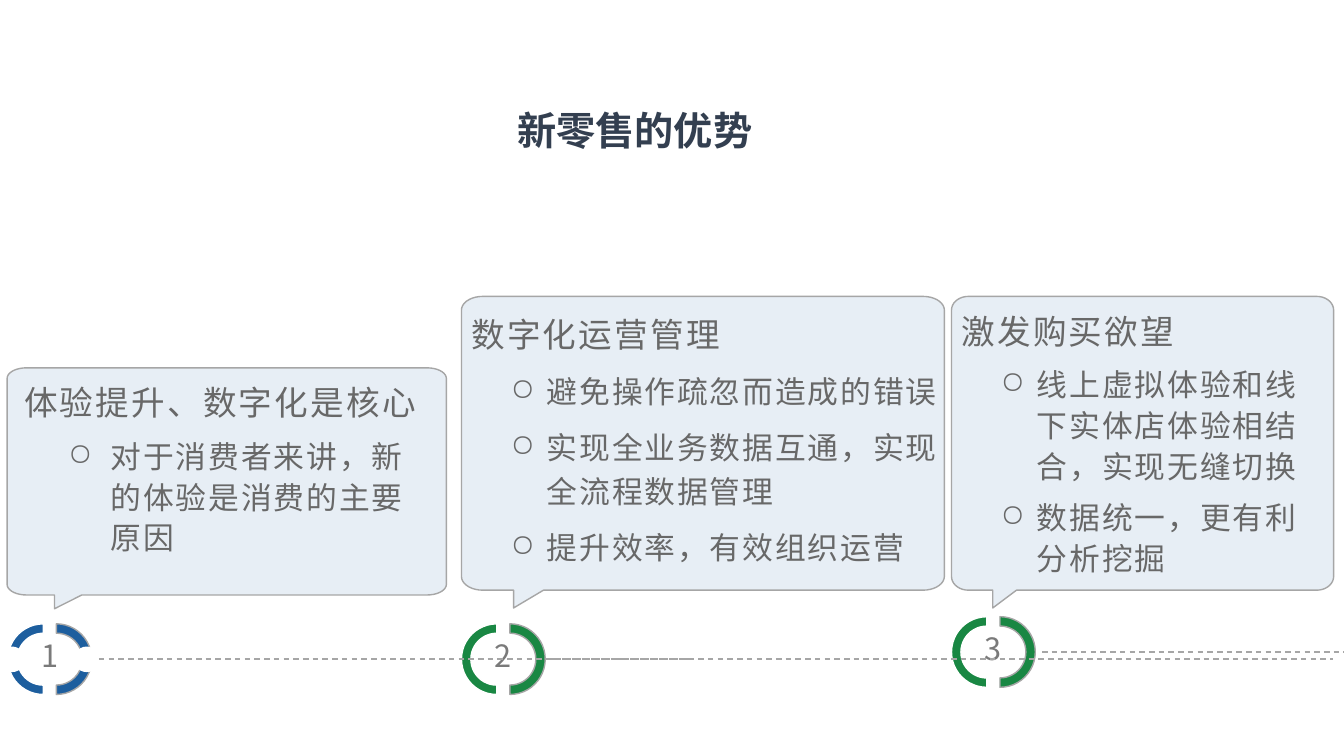
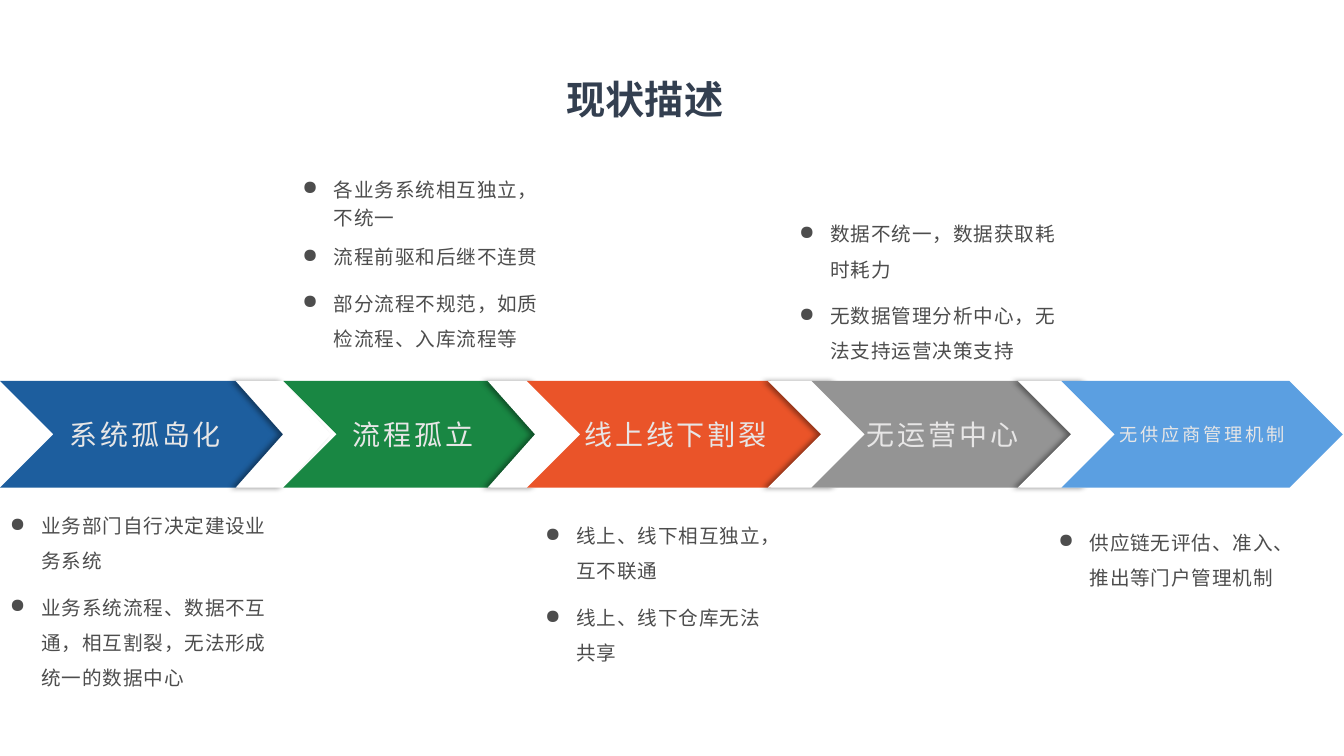
"""Build two slides: the advantages of new retail and its present problems."""
from math import cos, pi, sin

from lxml import etree
from pptx import Presentation, util as u
from pptx.dml.color import RGBColor
from pptx.enum import dml, shapes, text
from pptx.oxml.ns import qn

HUES = {
    "title": "333F50", "head": "686868", "num": "7A7A7A", "note": "4D4D4D",
    "pale": "E7E6E6", "edge": "A6A6A6", "white": "FFFFFF", "black": "000000",
    "blue": "1D5E9E", "green": "198743", "red": "EA5429", "gray": "949494",
    "sky": "5B9FE1",
}
FONT = "Noto Sans CJK SC"
ANCHOR, ALIGN, MSO = text.MSO_ANCHOR, text.PP_ALIGN, shapes.MSO_SHAPE


def write(frame, lines, size, hue, bold=False, align=ALIGN.LEFT, anchor=ANCHOR.TOP,
          lead=1.0, after=0, track=0, bullet="", indent=(0, 0), pad=(0.25, 0.13)):
    frame.word_wrap = True
    frame.vertical_anchor = anchor
    frame.margin_left = frame.margin_right = u.Cm(pad[0])
    frame.margin_top = frame.margin_bottom = u.Cm(pad[1])
    for line in lines:
        par = frame.add_paragraph() if frame.text else frame.paragraphs[0]
        if bullet:
            par.level = 1
            prop = par._p.get_or_add_pPr()
            prop.set("marL", str(u.Cm(indent[0])))
            prop.set("indent", str(u.Cm(indent[1])))
            etree.SubElement(prop, qn("a:buChar"), char=bullet)
        par.alignment, par.line_spacing = align, lead
        par.space_before, par.space_after = u.Pt(0), u.Pt(after)
        run = par.add_run()
        run.text = line
        font = run.font
        font.size, font.bold, font.name = u.Pt(size), bold, FONT
        font.color.rgb = RGBColor.from_string(HUES[hue])
        prop = run._r.get_or_add_rPr()
        prop.set("spc", str(round(track * 100)))
        etree.SubElement(prop, qn("a:ea"), typeface=FONT)


def paint(shape, fill, edge=None):
    shape.shadow.inherit = False
    shape.fill.solid()
    shape.fill.fore_color.rgb = RGBColor.from_string(HUES[fill])
    if edge:
        shape.line.color.rgb = RGBColor.from_string(HUES[edge])
        shape.line.width = u.Pt(1)
    else:
        shape.line.fill.background()
    return shape


deck = Presentation()
deck.slide_width, deck.slide_height = u.Cm(33.87), u.Cm(19.05)
pages = []
for name, box in [("新零售的优势", (3.96, 2.46, 24.08, 1.6)),
                  ("现状描述", (7.16, 1.7, 18.19, 1.6))]:
    page = deck.slides.add_slide(deck.slide_layouts[6]).shapes
    write(page.add_textbox(*map(u.Cm, box)).text_frame, [name], 28, "title", bold=True,
          align=ALIGN.CENTER, anchor=ANCHOR.MIDDLE, pad=(0.15, 0.15))
    pages.append(page)
gains, woes = pages

STEPS = [
    ((0.18, 9.27, 11.07, 6.07), (0.36, 9.27, 10.64, 5), 1.1, (2.18, -1.07),
     "体验提升、数字化是核心", ["对于消费者来讲，新的体验是消费的主要原因"],
     (0.2, 15.72), "blue"),
    ((11.63, 7.47, 12.17, 7.85), (11.63, 7.32, 12.45, 7.32), 1.2, (1.9, -0.91),
     "数字化运营管理",
     ["避免操作疏忽而造成的错误", "实现全业务数据互通，实现全流程数据管理",
      "提升效率，有效组织运营"],
     (11.63, 15.72), "green"),
    ((23.98, 7.47, 9.63, 7.85), (23.98, 7.47, 9.7, 7.32), 1.1, (1.9, -0.91),
     "激发购买欲望",
     ["线上虚拟体验和线下实体店体验相结合，实现无缝切换", "数据统一，更有利分析挖掘"],
     (23.98, 15.54), "green"),
]
RING, CURVE, BASE = 1.78, 0.044, 0.943
CORNERS = [(1 - CURVE, CURVE, -90), (1 - CURVE, BASE - CURVE, 0),
           (CURVE, BASE - CURVE, 90), (CURVE, CURVE, 180)]
TAIL = [(0.17, BASE), (0.108, 1), (0.108, BASE)]

rim = []
for cx, cy, start in CORNERS:
    if start == 90:
        rim += TAIL
    for turn in range(0, 91, 10):
        ang = (start + turn) * pi / 180
        rim.append((cx + CURVE * cos(ang), cy + CURVE * sin(ang)))

for num, (body, area, lead, indent, head, items, spot, hue) in enumerate(STEPS, 1):
    left, top, wide, high = body
    dots = [(u.Cm(left + x * wide), u.Cm(top + y * high)) for x, y in rim]
    pen = gains.build_freeform(*dots[0])
    pen.add_line_segments(dots[1:], close=True)
    bubble = paint(pen.convert_to_shape(), "blue", "edge")
    tint = bubble._element.spPr.find(qn("a:solidFill"))[0]
    etree.SubElement(tint, qn("a:alpha"), val="10000")

    frame = gains.add_textbox(*map(u.Cm, area)).text_frame
    look = dict(hue="head", anchor=ANCHOR.MIDDLE, lead=lead, after=8)
    write(frame, [head], 24, track=1.6, **look)
    write(frame, items, 22, track=1.4, bullet="○", indent=indent, **look)

    x, y = spot
    for shift, angle, edge in [(0.33, 90, "edge"), (0, 270, "white")]:
        arc = gains.add_shape(MSO.BLOCK_ARC, *map(u.Cm, (x + shift, y, RING, RING)))
        for at, val in enumerate((108, 0, 0.133)):
            arc.adjustments[at] = val
        arc.rotation = angle
        paint(arc, hue, edge)
    write(gains.add_textbox(*map(u.Cm, (x + 0.65, y + 0.38, 0.81, 1.07))).text_frame,
          [str(num)], 21.9, "num", align=ALIGN.CENTER, lead=0.8, after=8, track=1,
          pad=(0, 0.13))

for x in (0, 1.88):
    paint(gains.add_shape(MSO.OVAL, *map(u.Cm, (x, 16.31, 0.61, 0.61))), "white", "white")

for x, end, y in [(2.49, 17.5, 16.61), (13.92, 33.6, 16.61), (26.26, 33.87, 16.43)]:
    rule = gains.add_connector(shapes.MSO_CONNECTOR.STRAIGHT, *map(u.Cm, (x, y, end, y)))
    rule.line.color.rgb = RGBColor.from_string(HUES["edge"])
    rule.line.width = u.Pt(1)
    rule.line.dash_style = dml.MSO_LINE.DASH
    etree.SubElement(rule._element.spPr, qn("a:effectLst"))

BAND = (9.6, 2.69)
LINKS = [
    ("系统孤岛化", 0, 7.32, "blue", 20, (5.94, 2.39)),
    ("流程孤立", 7.14, 6.55, "green", 20, (12.29, 2.39)),
    ("线上线下割裂", 13.28, 7.49, "red", 20, (19.35, 3.05)),
    ("无运营中心", 20.45, 6.6, "gray", 20, (25.65, 3.05)),
    ("无供应商管理机制", 26.75, 7.09, "sky", 13, None),
]
for name, x, wide, hue, size, gap in LINKS:
    link = woes.add_shape(MSO.CHEVRON, *map(u.Cm, (x, BAND[0], wide, BAND[1])))
    write(paint(link, hue).text_frame, [name], size, "pale", align=ALIGN.CENTER,
          anchor=ANCHOR.MIDDLE, track=2, pad=(0, 0))
    if gap:
        notch = woes.add_shape(MSO.CHEVRON, *map(u.Cm, (gap[0], BAND[0], gap[1], BAND[1])))
        glow = paint(notch, "white")._element.spPr.find(qn("a:effectLst"))
        cast = etree.SubElement(glow, qn("a:outerShdw"), blurRad=str(u.Pt(4)),
                                dist=str(u.Pt(3)), dir=str(180 * 60000),
                                algn="r", rotWithShape="0")
        tint = etree.SubElement(cast, qn("a:srgbClr"), val=HUES["black"])
        etree.SubElement(tint, qn("a:alpha"), val="40000")

NOTES = [
    ((0, 12.52, 7.04, 5.41), ANCHOR.TOP, 8,
     [(1.5, ["业务部门自行决定建设业务系统",
             "业务系统流程、数据不互通，相互割裂，无法形成统一的数据中心"])]),
    ((7.37, 2.79, 6.55, 6.17), ANCHOR.BOTTOM, 8,
     [(1.2, ["各业务系统相互独立，不统一", "流程前驱和后继不连贯"]),
      (1.5, ["部分流程不规范，如质检流程、入库流程等"])]),
    ((13.49, 12.78, 6.4, 5.59), ANCHOR.TOP, 8,
     [(1.5, ["线上、线下相互独立，互不联通", "线上、线下仓库无法共享"])]),
    ((19.89, 4.42, 7.37, 4.85), ANCHOR.BOTTOM, 8,
     [(1.5, ["数据不统一，数据获取耗时耗力", "无数据管理分析中心，无法支持运营决策支持"])]),
    ((26.42, 12.52, 6.6, 2.46), ANCHOR.BOTTOM, 0,
     [(1.5, ["供应链无评估、准入、推出等门户管理机制"])]),
]
for box, anchor, after, parts in NOTES:
    frame = woes.add_textbox(*map(u.Cm, box)).text_frame
    for lead, items in parts:
        write(frame, items, 14, "note", anchor=anchor, lead=lead, after=after,
              track=0.6, bullet="●", indent=(0.79, -0.79))

deck.save("out.pptx")
